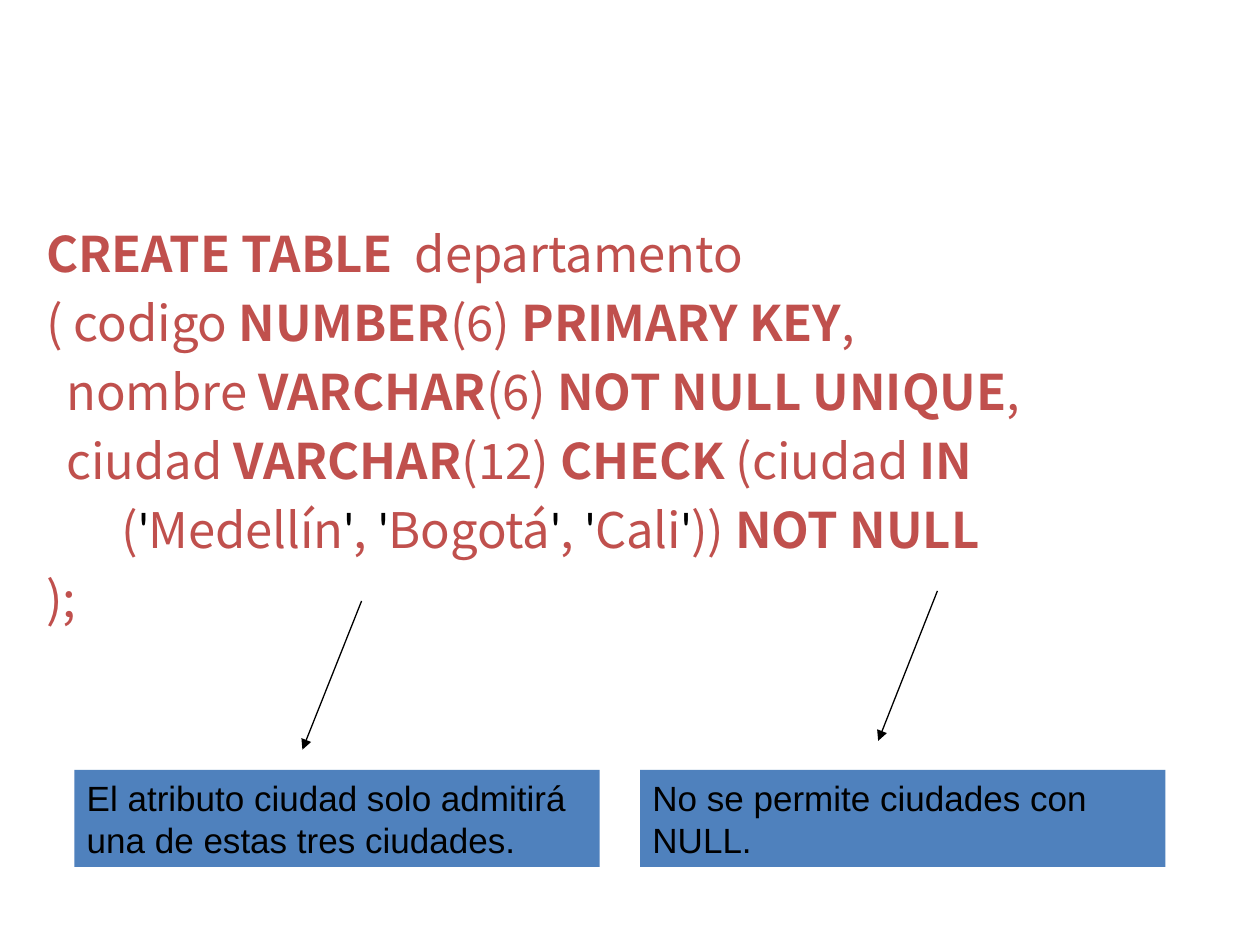
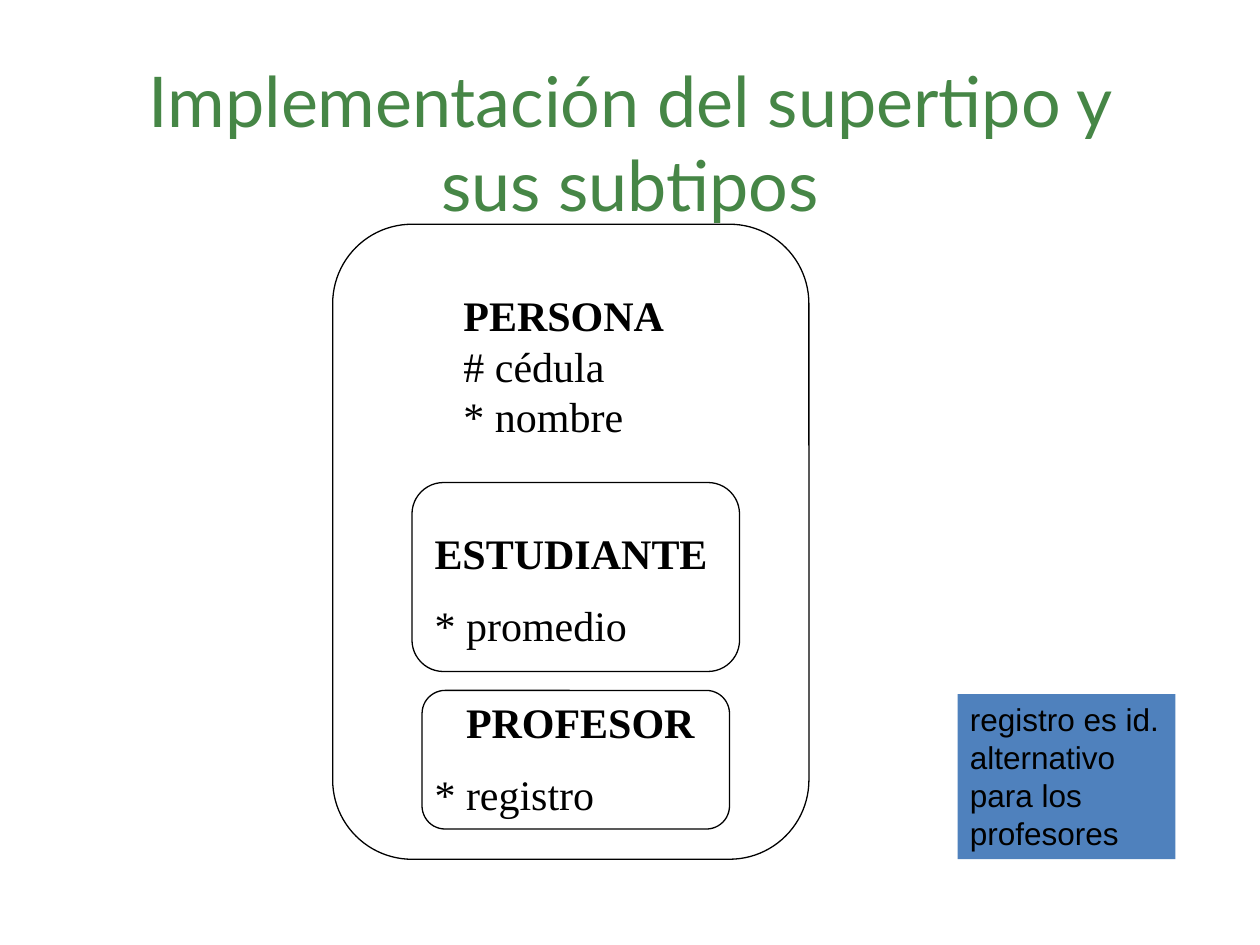
from dataclasses import dataclass

from pptx import Presentation
from pptx.dml.color import RGBColor
from pptx.enum.shapes import MSO_CONNECTOR, MSO_SHAPE
from pptx.enum.text import MSO_ANCHOR, PP_ALIGN
from pptx.oxml.ns import qn
from pptx.shapes.autoshape import Shape
from pptx.slide import Slide
from pptx.util import Inches, Pt
from lxml.etree import SubElement

BLACK = "000000"
SQL_RED = "C0504D"
TITLE_GREEN = "468646"
NOTE_BLUE = "4F81BD"
LINE_WIDTH = 0.75


@dataclass(frozen=True)
class Style:
    font: str
    size: float
    color: str = BLACK
    bold: bool = False


@dataclass(frozen=True)
class Run:
    text: str
    style: Style


@dataclass(frozen=True)
class Line:
    runs: list[Run]
    indent: float = 0
    before: float = 0


@dataclass(frozen=True)
class Box:
    left: float
    top: float
    width: float
    height: float

    def lengths(self) -> list[int]:
        return [Inches(v) for v in (self.left, self.top, self.width, self.height)]


@dataclass(frozen=True)
class Note:
    box: Box
    lines: list[str]
    size: float


@dataclass(frozen=True)
class Arrow:
    start: tuple[float, float]
    end: tuple[float, float]


@dataclass(frozen=True)
class Entity:
    frame: Box
    label: Box
    name: str
    attributes: list[str]
    name_indent: float = 0
    gap: float = 0


SQL = Style("Noto Sans CJK SC", 28, SQL_RED)
KEYWORD = Style("Noto Sans CJK SC", 28, SQL_RED, True)
QUOTE = Style("Lato", 28)
TITLE = Style("Lato", 40, TITLE_GREEN)
ENTITY_NAME = Style("Times New Roman", 24, bold=True)
ATTRIBUTE = Style("Times New Roman", 24)


def rgb(value: str) -> RGBColor:
    return RGBColor.from_string(value)


def write(shape: Shape, lines: list[Line], spacing: float = 1.2,
          align: PP_ALIGN = PP_ALIGN.LEFT, anchor: MSO_ANCHOR = MSO_ANCHOR.TOP) -> None:
    frame = shape.text_frame
    frame.word_wrap = True
    frame.vertical_anchor = anchor
    for index, line in enumerate(lines):
        paragraph = frame.add_paragraph() if index else frame.paragraphs[0]
        paragraph.alignment = align
        paragraph.line_spacing = Pt(line.runs[0].style.size * spacing)
        paragraph.space_before = Pt(line.before)
        if line.indent:
            paragraph._p.get_or_add_pPr().set("marL", str(Inches(line.indent)))
        for part in line.runs:
            run = paragraph.add_run()
            run.text = part.text
            run.font.name = part.style.font
            run.font.size = Pt(part.style.size)
            run.font.bold = part.style.bold
            run.font.color.rgb = rgb(part.style.color)


def add_label(slide: Slide, box: Box) -> Shape:
    return slide.shapes.add_textbox(*box.lengths())


def add_note(slide: Slide, note: Note) -> None:
    panel = slide.shapes.add_shape(MSO_SHAPE.RECTANGLE, *note.box.lengths())
    panel.shadow.inherit = False
    panel.fill.solid()
    panel.fill.fore_color.rgb = rgb(NOTE_BLUE)
    panel.line.fill.background()
    style = Style("Arial", note.size)
    write(panel, [Line([Run(text, style)]) for text in note.lines])


def add_arrow(slide: Slide, arrow: Arrow) -> None:
    points = [Inches(v) for v in arrow.start + arrow.end]
    pointer = slide.shapes.add_connector(MSO_CONNECTOR.STRAIGHT, *points)
    pointer.line.color.rgb = rgb(BLACK)
    pointer.line.width = Pt(LINE_WIDTH)
    SubElement(pointer.line._get_or_add_ln(), qn("a:tailEnd"), type="triangle")
    SubElement(pointer._element.spPr, qn("a:effectLst"))


def add_entity(slide: Slide, entity: Entity) -> None:
    outline = slide.shapes.add_shape(MSO_SHAPE.ROUNDED_RECTANGLE, *entity.frame.lengths())
    outline.shadow.inherit = False
    outline.fill.background()
    outline.line.color.rgb = rgb(BLACK)
    outline.line.width = Pt(LINE_WIDTH)
    label = add_label(slide, entity.label)
    label.text_frame.margin_right = 0
    name = Line([Run(entity.name, ENTITY_NAME)], entity.name_indent)
    attributes = [Line([Run(text, ATTRIBUTE)], before=entity.gap) for text in entity.attributes]
    write(label, [name, *attributes])


def sql_line(*parts: tuple[str, Style], indent: float = 0) -> Line:
    return Line([Run(text, style) for text, style in parts], indent)


def city_line() -> Line:
    parts = [("(", SQL)]
    for city, separator in (("Medellín", ", "), ("Bogotá", ", "), ("Cali", ")) ")):
        parts += [("'", QUOTE), (city, SQL), ("'", QUOTE), (separator, SQL)]
    return sql_line(*parts, ("NOT NULL", KEYWORD), indent=0.6)


def build_table_slide(slide: Slide) -> None:
    column_indent = 0.16
    statement = [
        sql_line(("CREATE TABLE ", KEYWORD), (" departamento", SQL)),
        sql_line(("( codigo ", SQL), ("NUMBER", KEYWORD), ("(6) ", SQL),
                 ("PRIMARY KEY", KEYWORD), (",", SQL)),
        sql_line(("nombre ", SQL), ("VARCHAR", KEYWORD), ("(6) ", SQL),
                 ("NOT NULL UNIQUE", KEYWORD), (",", SQL), indent=column_indent),
        sql_line(("ciudad ", SQL), ("VARCHAR", KEYWORD), ("(12) ", SQL),
                 ("CHECK", KEYWORD), (" (ciudad ", SQL), ("IN", KEYWORD), indent=column_indent),
        city_line(),
        sql_line((");", SQL)),
    ]
    body = add_label(slide, Box(0.27, 0.6, 9.33, 6.9))
    body.text_frame.margin_top = Inches(1.09)
    write(body, statement, spacing=1.41)
    for note in (
        Note(Box(0.59, 6.11, 4.17, 0.77),
             ["El atributo ciudad solo admitirá", "una de estas tres ciudades."], 20),
        Note(Box(5.08, 6.11, 4.17, 0.77), ["No se permite ciudades con NULL."], 20),
    ):
        add_note(slide, note)
    for arrow in (Arrow((2.87, 4.77), (2.4, 5.95)), Arrow((7.44, 4.69), (6.97, 5.88))):
        add_arrow(slide, arrow)


def build_subtype_slide(slide: Slide) -> None:
    title = add_label(slide, Box(0.69, 0.4, 8.62, 1.45))
    heading = Run("Implementación del supertipo y sus subtipos", TITLE)
    write(title, [Line([heading])], align=PP_ALIGN.CENTER, anchor=MSO_ANCHOR.MIDDLE)
    for entity in (
        Entity(Box(2.64, 1.78, 3.78, 5.04), Box(3.58, 2.25, 1.8, 1.3),
               "PERSONA", ["# cédula", "* nombre"]),
        Entity(Box(3.27, 3.83, 2.6, 1.5), Box(3.35, 4.14, 2.91, 1.1),
               "ESTUDIANTE", ["* promedio"], gap=12),
        Entity(Box(3.35, 5.48, 2.44, 1.1), Box(3.35, 5.48, 2.91, 1.1),
               "PROFESOR", ["* registro"], name_indent=0.25, gap=12),
    ):
        add_entity(slide, entity)
    add_note(slide, Note(Box(7.6, 5.51, 1.73, 1.31),
                         ["registro es id. alternativo para los profesores"], 18))


def main() -> None:
    deck = Presentation()
    deck.slide_width, deck.slide_height = Inches(10), Inches(7.5)
    blank = deck.slide_layouts[6]
    for build in (build_table_slide, build_subtype_slide):
        build(deck.slides.add_slide(blank))
    deck.save("out.pptx")


if __name__ == "__main__":
    main()
